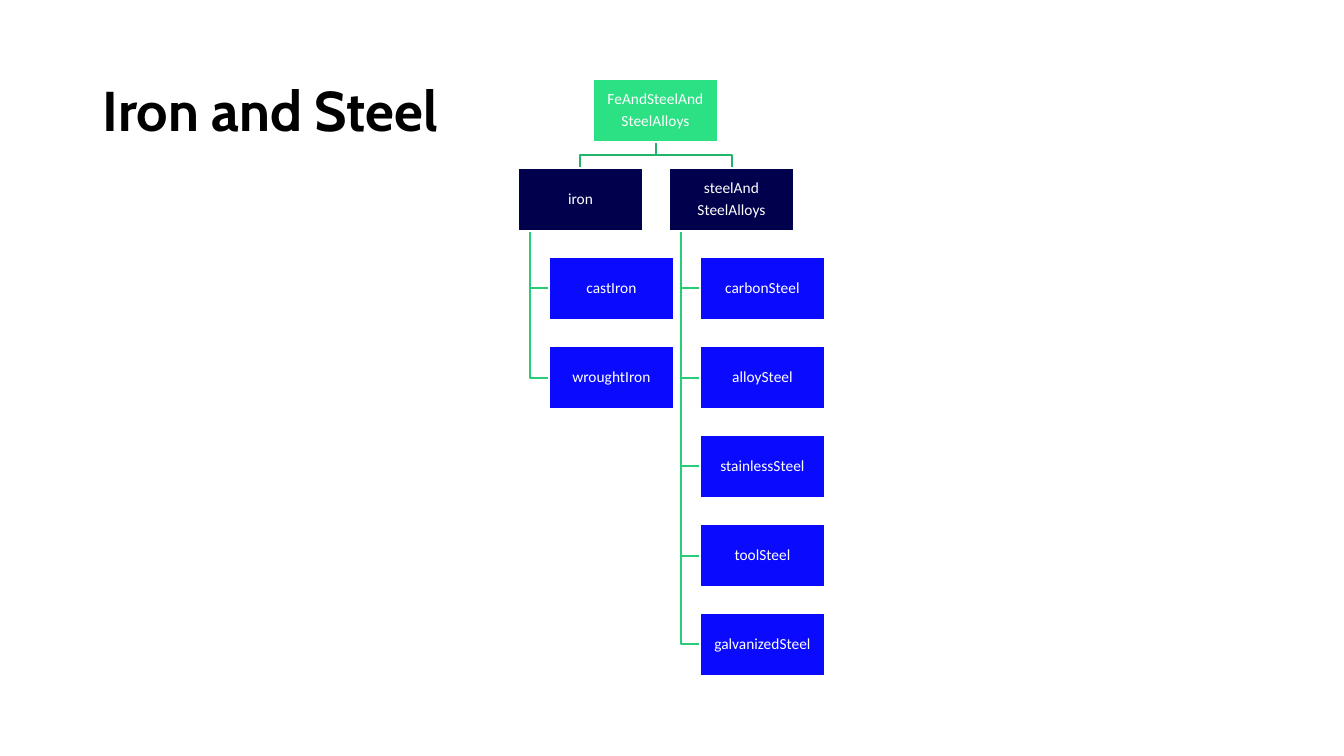
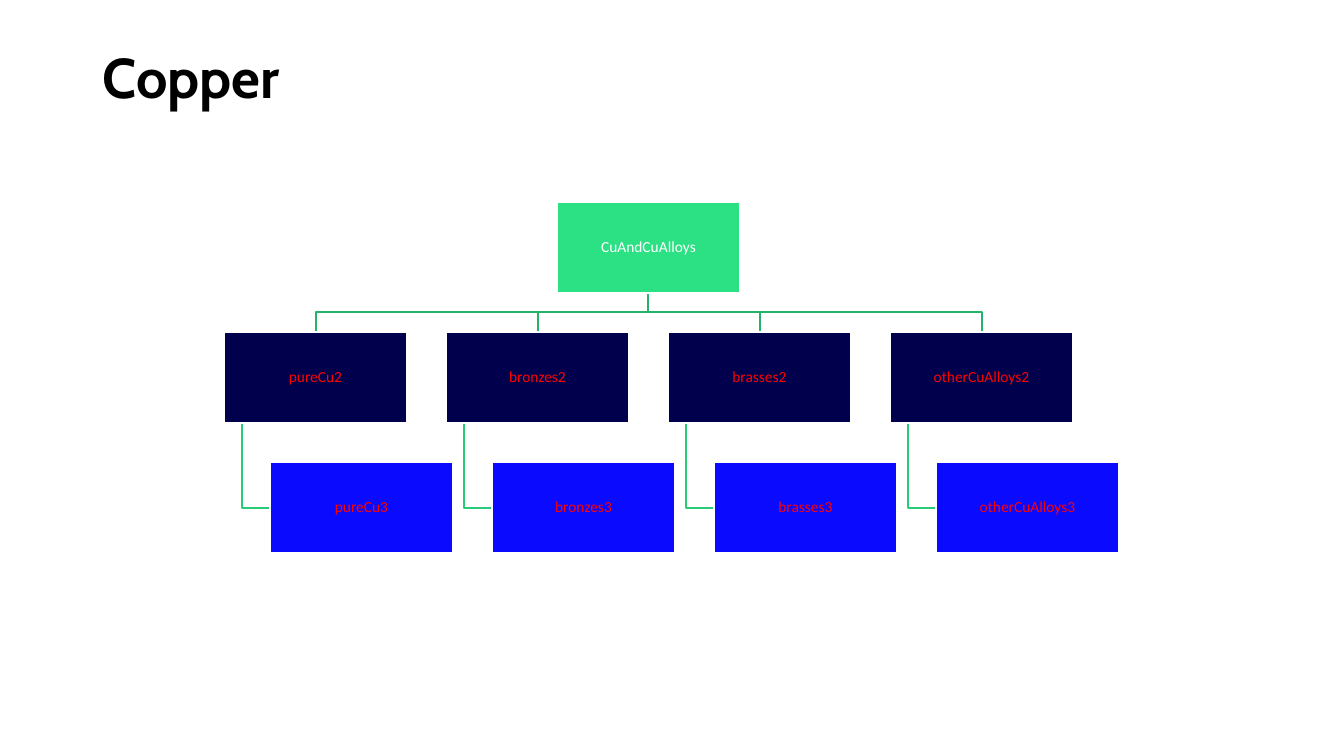
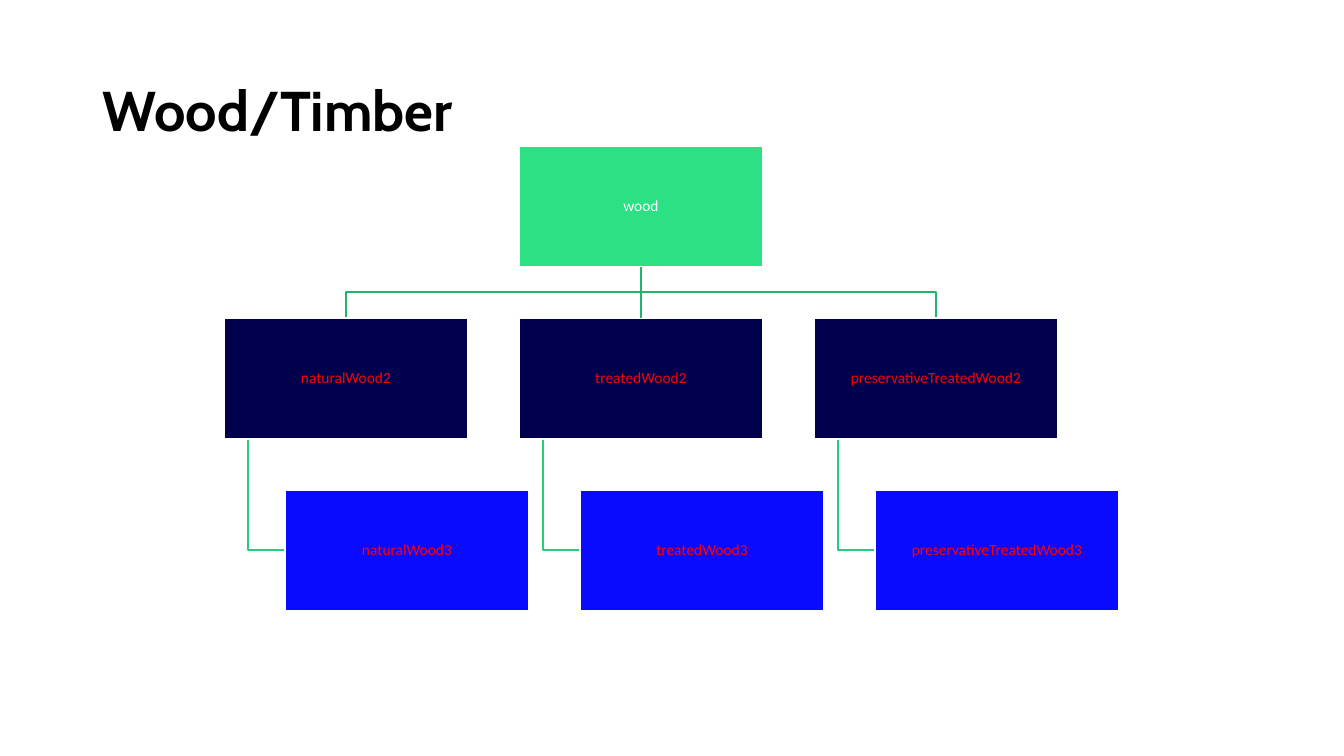
"""Build three slides of material class trees."""
from lxml.etree import SubElement
from pptx import Presentation
from pptx.dml.color import RGBColor
from pptx.enum.shapes import MSO_CONNECTOR, MSO_SHAPE
from pptx.enum.text import MSO_ANCHOR, PP_ALIGN
from pptx.oxml.ns import qn
from pptx.util import Emu, Pt

WHITE = RGBColor(0xFF, 0xFF, 0xFF)
BLACK = RGBColor(0x00, 0x00, 0x00)
RED = RGBColor(0xFF, 0x00, 0x00)
GREEN = RGBColor(0x2C, 0xE0, 0x84)
NAVY = RGBColor(0x00, 0x00, 0x4D)
BLUE = RGBColor(0x0A, 0x0A, 0xFF)
BRANCH_LINE = RGBColor(0x23, 0xB3, 0x6A)
LEAF_LINE = RGBColor(0x28, 0xCB, 0x78)

SLIDE_WIDTH, SLIDE_HEIGHT = 1344, 756
PX = 12192000 / SLIDE_WIDTH

TREES = [
    {
        "title": "Iron and Steel", "title_top": 40,
        "left": 518, "top": 79, "box": (125, 63), "gap": 26, "text_color": WHITE,
        "root": "FeAndSteelAnd\nSteelAlloys",
        "branches": [
            ("iron", ["castIron", "wroughtIron"]),
            ("steelAnd\nSteelAlloys",
             ["carbonSteel", "alloySteel", "stainlessSteel", "toolSteel", "galvanizedSteel"]),
        ],
    },
    {
        "title": "Copper", "title_top": 7,
        "left": 224, "top": 202, "box": (183, 91), "gap": 39, "text_color": RED,
        "root": "CuAndCuAlloys",
        "branches": [
            ("pureCu2", ["pureCu3"]),
            ("bronzes2", ["bronzes3"]),
            ("brasses2", ["brasses3"]),
            ("otherCuAlloys2", ["otherCuAlloys3"]),
        ],
    },
    {
        "title": "Wood/Timber", "title_top": 40,
        "left": 224, "top": 146, "box": (244, 121), "gap": 51, "text_color": RED,
        "root": "wood",
        "branches": [
            ("naturalWood2", ["naturalWood3"]),
            ("treatedWood2", ["treatedWood3"]),
            ("preservativeTreatedWood2", ["preservativeTreatedWood3"]),
        ],
    },
]


def px(length):
    return Emu(round(length * PX))


def add_title(page, text, top):
    box = page.shapes.add_textbox(px(93), px(top), px(1159), px(146))
    frame = box.text_frame
    frame.word_wrap = True
    frame.vertical_anchor = MSO_ANCHOR.MIDDLE
    para = frame.paragraphs[0]
    para.text = text
    para.line_spacing = 0.9
    para.font.name, para.font.size, para.font.bold = "Cabin", Pt(40), True
    para.font.color.rgb = BLACK


def add_node(page, text, left, top, size, fill, color):
    node = page.shapes.add_shape(MSO_SHAPE.RECTANGLE, px(left), px(top), *map(px, size))
    node.shadow.inherit = False
    node.fill.solid()
    node.fill.fore_color.rgb = fill
    node.line.color.rgb = WHITE
    node.line.width = Pt(1)
    frame = node.text_frame
    frame.word_wrap = True
    frame.vertical_anchor = MSO_ANCHOR.MIDDLE
    frame.margin_left = frame.margin_right = frame.margin_top = frame.margin_bottom = px(1)
    for index, line in enumerate(text.split("\n")):
        para = frame.add_paragraph() if index else frame.paragraphs[0]
        para.text = line
        para.alignment = PP_ALIGN.CENTER
        para.line_spacing = 0.9
        if index:
            para.space_before = Pt(3.85)
        para.font.name, para.font.size = "Calibri", Pt(11)
        para.font.color.rgb = color
    return node


def add_elbow(page, points, color):
    builder = page.shapes.build_freeform(*points[0], scale=PX)
    builder.add_line_segments(points[1:], close=False)
    elbow = builder.convert_to_shape()
    elbow.shadow.inherit = False
    elbow.fill.background()
    elbow.line.color.rgb = color
    elbow.line.width = Pt(1)


def add_straight(page, upper, lower):
    link = page.shapes.add_connector(MSO_CONNECTOR.STRAIGHT, 0, 0, 0, 0)
    link.begin_connect(upper, 2)
    link.end_connect(lower, 0)
    link.line.color.rgb = BRANCH_LINE
    link.line.width = Pt(1)
    SubElement(link._element.spPr, qn("a:effectLst"))


def add_tree(page, tree):
    size, gap, top, color = tree["box"], tree["gap"], tree["top"], tree["text_color"]
    width, height = size
    column_step, row_step = width + gap, height + gap
    indent, spine = round(width / 4), round(width / 10)
    branch_top = top + row_step
    root_left = tree["left"] + (len(tree["branches"]) - 1) * column_step // 2
    root_middle, bus = root_left + width / 2, top + height + gap / 2
    columns = [(tree["left"] + index * column_step, name, leaves)
               for index, (name, leaves) in enumerate(tree["branches"])]

    for left, _, leaves in columns:
        middle, spine_x = left + width / 2, left + spine
        if left != root_left:
            add_elbow(page, [(root_middle, top + height), (root_middle, bus),
                             (middle, bus), (middle, branch_top)], BRANCH_LINE)
        for row in range(1, len(leaves) + 1):
            leaf_middle = branch_top + row * row_step + height / 2
            add_elbow(page, [(spine_x, branch_top + height), (spine_x, leaf_middle),
                             (left + indent, leaf_middle)], LEAF_LINE)

    root = add_node(page, tree["root"], root_left, top, size, GREEN, WHITE)
    for left, name, leaves in columns:
        branch = add_node(page, name, left, branch_top, size, NAVY, color)
        if left == root_left:
            add_straight(page, root, branch)
        for row, leaf in enumerate(leaves, 1):
            add_node(page, leaf, left + indent, branch_top + row * row_step, size, BLUE, color)


def main():
    deck = Presentation()
    deck.slide_width, deck.slide_height = px(SLIDE_WIDTH), px(SLIDE_HEIGHT)
    for tree in TREES:
        page = deck.slides.add_slide(deck.slide_layouts[6])
        add_title(page, tree["title"], tree["title_top"])
        add_tree(page, tree)
    deck.save("out.pptx")


if __name__ == "__main__":
    main()
